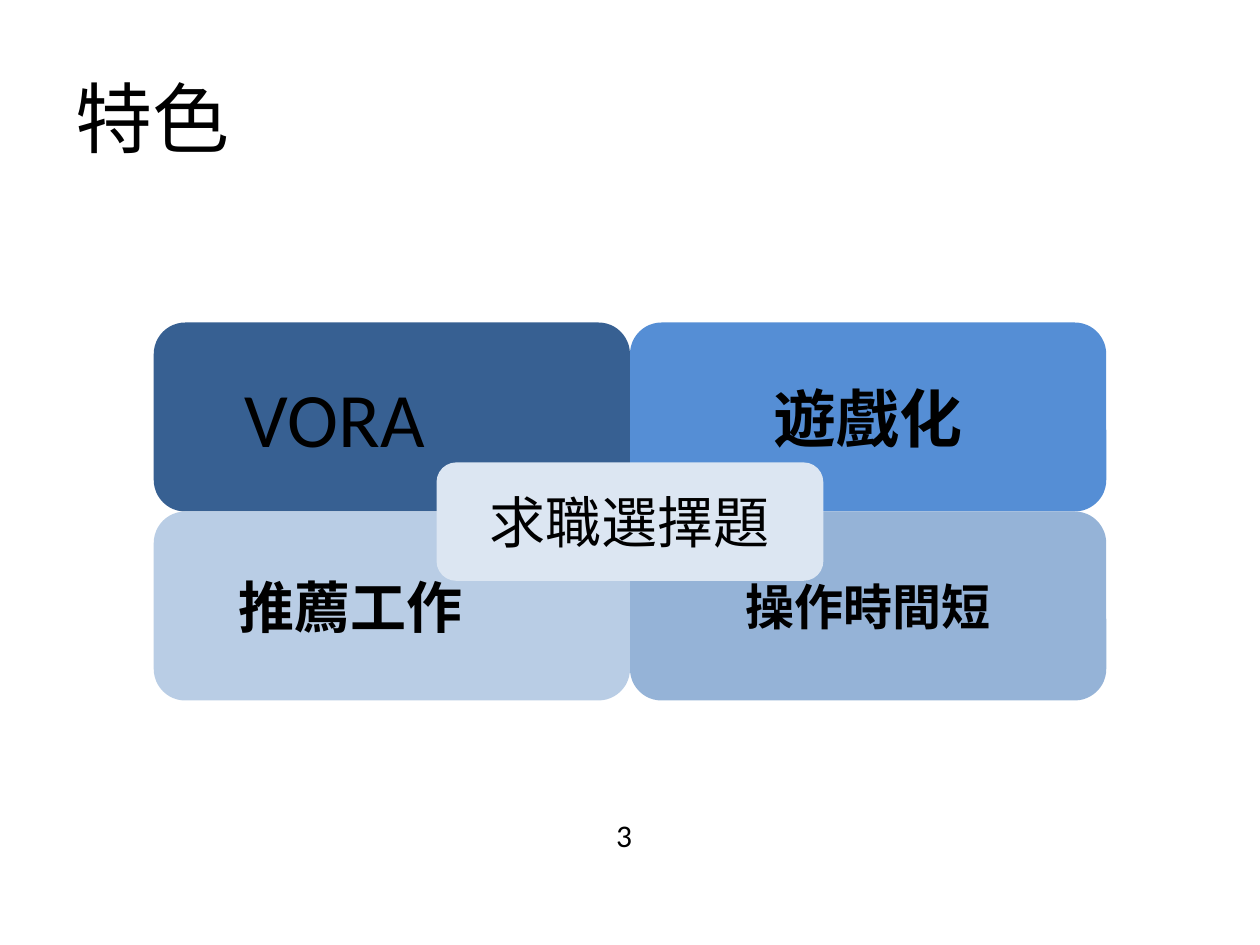
from pptx import Presentation
from pptx.dml.color import RGBColor
from pptx.enum.shapes import MSO_SHAPE
from pptx.enum.text import MSO_ANCHOR, PP_ALIGN
from pptx.util import Inches, Pt

THEME = {
    "heading_font": "Times New Roman",
    "body_font": "Calibri",
    "text": "000000",
    "navy": "376092",
    "blue": "558ED5",
    "pale": "B9CDE5",
    "steel": "95B3D7",
    "center": "DCE6F2",
    "title": 44,
    "feature_large": 44,
    "feature_medium": 36,
    "feature_small": 32,
    "feature_tiny": 28,
    "core": 32,
    "number": 18,
}

TITLE = "特色"
CORE = "求職選擇題"
PAGE_NUMBER = "3"
# Rows of the matrix; an indent (inches) means left-aligned text
FEATURES = [
    [dict(text="VORA", fill="navy", size=THEME["feature_large"], indent=0.55),
     dict(text="遊戲化", fill="blue", size=THEME["feature_medium"], bold=True)],
    [dict(text="推薦工作", fill="pale", size=THEME["feature_small"], bold=True,
          indent=0.5),
     dict(text="操作時間短", fill="steel", size=THEME["feature_tiny"], bold=True)],
]

WIDTH, HEIGHT = 10, 7.5
CELL_WIDTH, CELL_HEIGHT = 3.78, 1.5
CENTER_X, CENTER_Y = WIDTH / 2, 4.06
CORE_WIDTH, CORE_HEIGHT = 3.07, 0.94
INSET = 0.1


def write(box, text, size, font=THEME["body_font"], bold=False, indent=None,
          anchor=MSO_ANCHOR.MIDDLE):
    frame = box.text_frame
    frame.word_wrap = True
    frame.vertical_anchor = anchor
    frame.margin_left = Inches(INSET + (indent or 0))
    para = frame.paragraphs[0]
    para.alignment = PP_ALIGN.CENTER if indent is None else PP_ALIGN.LEFT
    span = para.add_run()
    span.text = text
    span.font.name = font
    span.font.size = Pt(size)
    span.font.bold = bold
    span.font.color.rgb = RGBColor.from_string(THEME["text"])


def add_card(page, left, top, width, height, fill, **text_format):
    card = page.shapes.add_shape(MSO_SHAPE.ROUNDED_RECTANGLE, Inches(left),
                                 Inches(top), Inches(width), Inches(height))
    card.shadow.inherit = False
    card.fill.solid()
    card.fill.fore_color.rgb = RGBColor.from_string(THEME[fill])
    card.line.fill.background()
    write(card, **text_format)


def add_label(page, left, top, width, height, **text_format):
    label = page.shapes.add_textbox(Inches(left), Inches(top),
                                    Inches(width), Inches(height))
    write(label, **text_format)


def main():
    deck = Presentation()
    deck.slide_width, deck.slide_height = Inches(WIDTH), Inches(HEIGHT)
    page = deck.slides.add_slide(deck.slide_layouts[6])

    add_label(page, WIDTH * 0.05, HEIGHT * 0.04, WIDTH * 0.9, 1.25, text=TITLE,
              size=THEME["title"], font=THEME["heading_font"], indent=0)
    for row, features in enumerate(FEATURES):
        for column, feature in enumerate(features):
            add_card(page, CENTER_X + (column - 1) * CELL_WIDTH,
                     CENTER_Y + (row - 1) * CELL_HEIGHT,
                     CELL_WIDTH, CELL_HEIGHT, **feature)
    add_card(page, CENTER_X - CORE_WIDTH / 2, 3.67, CORE_WIDTH, CORE_HEIGHT,
             "center", text=CORE, size=THEME["core"])
    add_label(page, 4.45, 6.43, 0.87, 0.4, text=PAGE_NUMBER,
              size=THEME["number"], indent=0.34, anchor=MSO_ANCHOR.TOP)

    deck.save("out.pptx")


if __name__ == "__main__":
    main()
